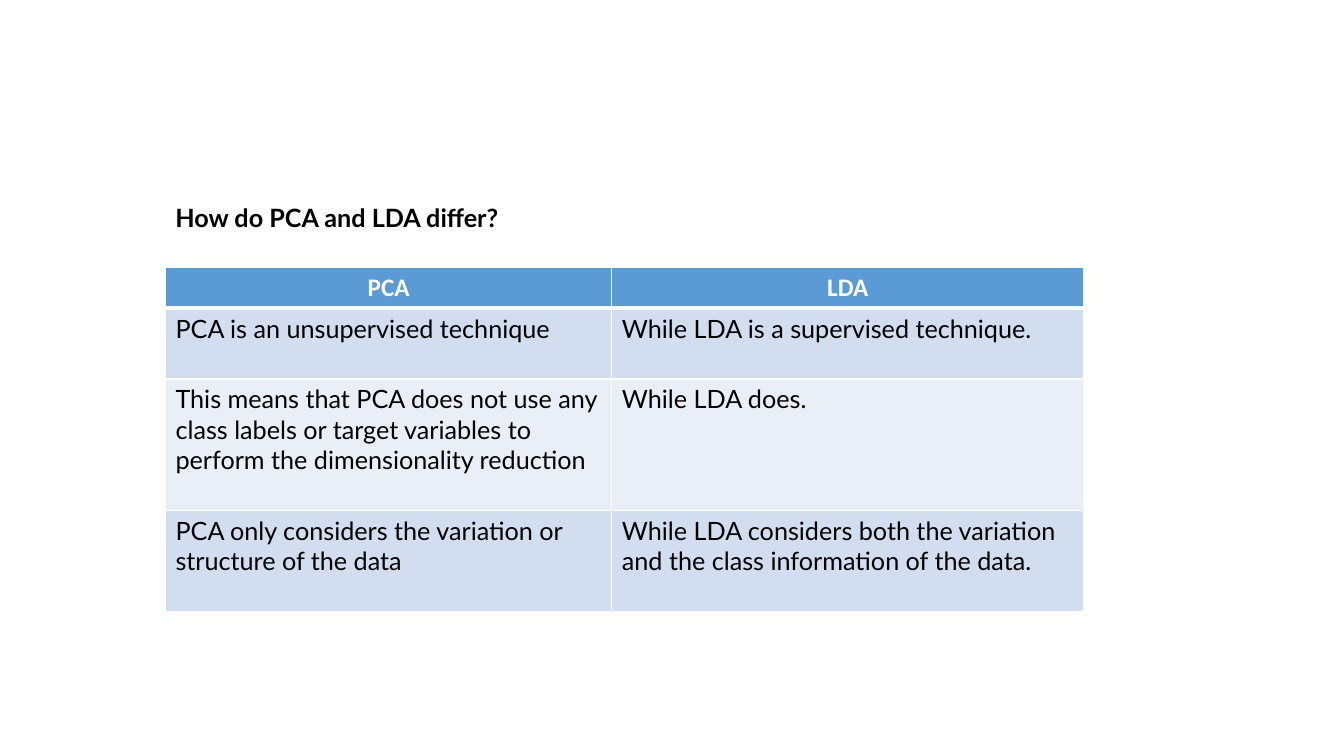
from dataclasses import dataclass

from lxml import etree
from pptx import Presentation
from pptx import util as u
from pptx.dml.color import RGBColor
from pptx.enum import text
from pptx.oxml import ns
from pptx.slide import Slide
from pptx.table import _Cell as Cell
from pptx.text.text import _Paragraph as Paragraph


@dataclass(frozen=True)
class Theme:
    ink: str = "000000"
    paper: str = "FFFFFF"
    header: str = "5B9BD5"
    bands: tuple[str, str] = ("D2DEEF", "EAEFF7")
    header_font: str = "Calibri"
    body_font: str = "Lato"
    size: u.Pt = u.Pt(18)
    thin: u.Pt = u.Pt(1)
    thick: u.Pt = u.Pt(3)


@dataclass(frozen=True)
class ComparisonRow:
    pca: str
    lda: str
    height: u.Cm


THEME = Theme()
LEFT = u.Cm(4.17)
COLUMN_WIDTHS = (u.Cm(11.25), u.Cm(11.89))
ROWS = (
    ComparisonRow("PCA", "LDA", u.Cm(1.03)),
    ComparisonRow("PCA is an unsupervised technique",
                  "While LDA is a supervised technique.", u.Cm(1.78)),
    ComparisonRow("This means that PCA does not use any class labels or target "
                  "variables to perform the dimensionality reduction",
                  "While LDA does.", u.Cm(3.32)),
    ComparisonRow("PCA only considers the variation or structure of the data",
                  "While LDA considers both the variation and the class "
                  "information of the data.", u.Cm(2.53)),
)


def write(para: Paragraph, words: str, font: str, color: str, bold: bool) -> None:
    span = para.add_run()
    span.text = words
    for name, value in {"name": font, "size": THEME.size, "bold": bold}.items():
        setattr(span.font, name, value)
    span.font.color.rgb = RGBColor.from_string(color)


def set_borders(cell: Cell, top: int, bottom: int) -> None:
    """Put the side lines ahead of the cell's fill, as the schema requires."""
    properties = cell._tc.get_or_add_tcPr()
    widths = {"a:lnL": THEME.thin, "a:lnR": THEME.thin, "a:lnT": top, "a:lnB": bottom}
    for position, (tag, width) in enumerate(widths.items()):
        line = etree.Element(ns.qn(tag), w=str(int(width)))
        fill = etree.SubElement(line, ns.qn("a:solidFill"))
        etree.SubElement(fill, ns.qn("a:srgbClr"), val=THEME.paper)
        properties.insert(position, line)


def fill_cell(cell: Cell, words: str, row: int) -> None:
    is_header = row == 0
    color = THEME.header if is_header else THEME.bands[(row - 1) % 2]
    cell.fill.solid()
    cell.fill.fore_color.rgb = RGBColor.from_string(color)
    set_borders(cell, top=THEME.thick if row == 1 else THEME.thin,
                bottom=THEME.thick if is_header else THEME.thin)
    para = cell.text_frame.paragraphs[0]
    if is_header:
        para.alignment = text.PP_ALIGN.CENTER
        write(para, words, THEME.header_font, THEME.paper, bold=True)
    else:
        write(para, words, THEME.body_font, THEME.ink, bold=False)


def add_question(page: Slide) -> None:
    box = page.shapes.add_textbox(LEFT, u.Cm(4.98), u.Cm(16.94), u.Cm(1.03))
    frame = box.text_frame
    frame.word_wrap = True
    frame.auto_size = text.MSO_AUTO_SIZE.SHAPE_TO_FIT_TEXT
    write(frame.paragraphs[0], "How do PCA and LDA differ?",
          THEME.body_font, THEME.ink, bold=True)


def add_comparison(page: Slide) -> None:
    table = page.shapes.add_table(
        len(ROWS), len(COLUMN_WIDTHS), LEFT, u.Cm(6.74),
        sum(COLUMN_WIDTHS), sum(row.height for row in ROWS)).table
    for column, width in zip(table.columns, COLUMN_WIDTHS):
        column.width = width
    for index, row in enumerate(ROWS):
        table.rows[index].height = row.height
        for column, words in enumerate((row.pca, row.lda)):
            fill_cell(table.cell(index, column), words, index)


def main() -> None:
    deck = Presentation()
    deck.slide_width, deck.slide_height = u.Cm(33.87), u.Cm(19.05)
    page = deck.slides.add_slide(deck.slide_layouts[6])
    add_question(page)
    add_comparison(page)
    deck.save("out.pptx")


if __name__ == "__main__":
    main()
